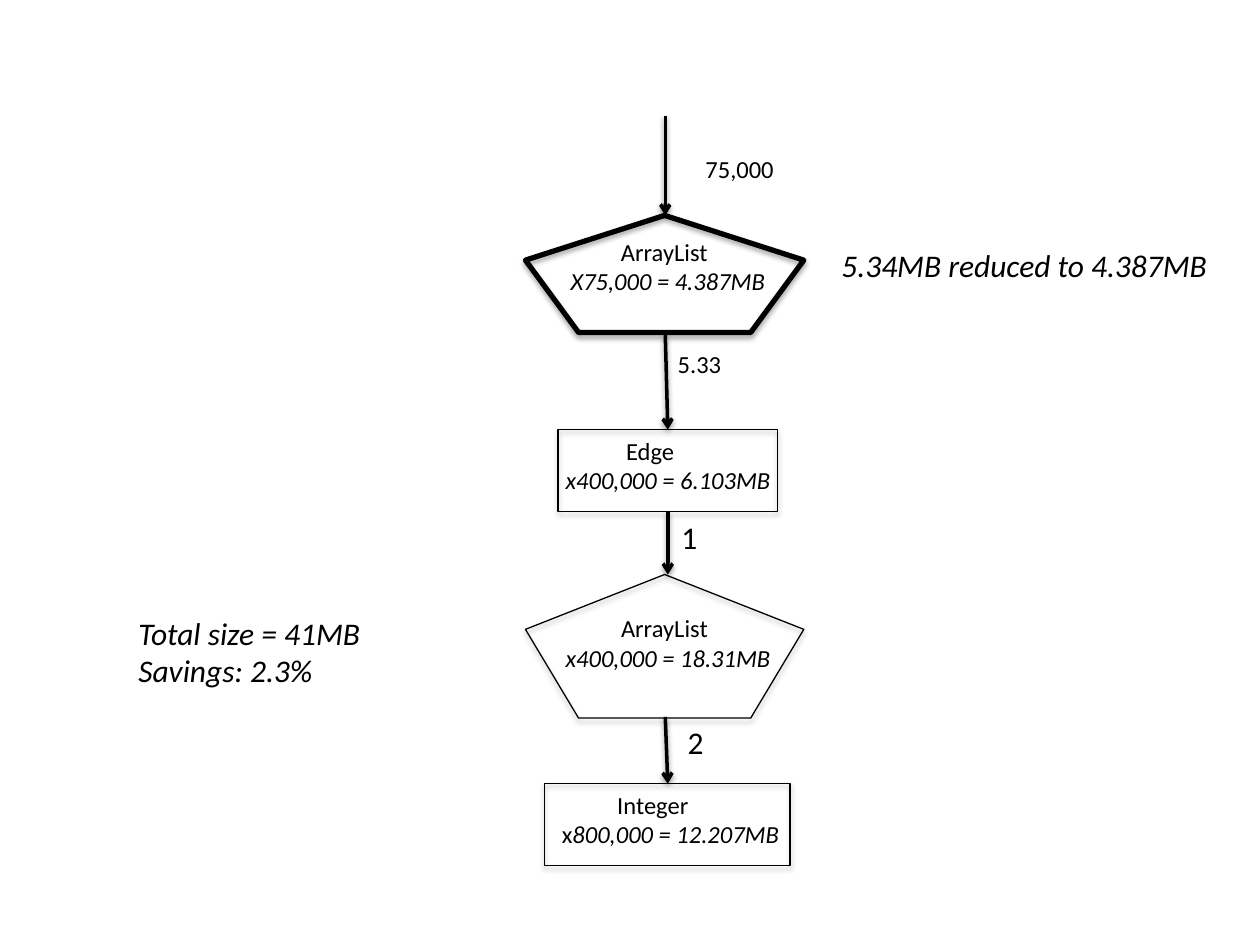
from dataclasses import dataclass

import lxml.etree
import pptx
import pptx.dml.color
import pptx.enum.shapes
import pptx.enum.text
import pptx.oxml.ns
import pptx.util

Inches = pptx.util.Inches
Pt = pptx.util.Pt
SHAPE = pptx.enum.shapes.MSO_SHAPE
qn = pptx.oxml.ns.qn
BLACK = "000000"
FONT = "Calibri"


@dataclass
class Node:
    kind: int
    left: float
    top: float
    width: float
    height: float
    line: float = 0.75


@dataclass
class Arrow:
    x1: float
    y1: float
    x2: float
    y2: float


@dataclass
class Line:
    """One paragraph made of (text, italic) runs."""
    runs: list[tuple[str, bool]]
    indent: float = 0


@dataclass
class Label:
    left: float
    top: float
    width: float
    height: float
    lines: list[Line]
    size: int = 14
    wrap: bool = False


def rgb(color: str) -> pptx.dml.color.RGBColor:
    return pptx.dml.color.RGBColor.from_string(color)


def style_line(sp, width: float) -> None:
    sp.line.color.rgb = rgb(BLACK)
    sp.line.width = Pt(width)


def add_shadow(sp, distance: float, opacity: int) -> None:
    """Give the shape a soft shadow straight below it."""
    effects = lxml.etree.SubElement(sp._element.spPr, qn("a:effectLst"))
    shadow = lxml.etree.SubElement(
        effects, qn("a:outerShdw"), blurRad=str(Pt(3.1)),
        dist=str(Pt(distance)), dir="5400000", rotWithShape="0")
    color = lxml.etree.SubElement(shadow, qn("a:srgbClr"), val=BLACK)
    lxml.etree.SubElement(color, qn("a:alpha"), val=str(opacity * 1000))


def draw_node(slide, node: Node) -> None:
    sp = slide.shapes.add_shape(
        node.kind, Inches(node.left), Inches(node.top),
        Inches(node.width), Inches(node.height))
    sp.fill.background()
    style_line(sp, node.line)
    add_shadow(sp, 1.8, 35)


def draw_arrow(slide, arrow: Arrow) -> None:
    sp = slide.shapes.add_connector(
        pptx.enum.shapes.MSO_CONNECTOR.STRAIGHT,
        Inches(arrow.x1), Inches(arrow.y1), Inches(arrow.x2), Inches(arrow.y2))
    style_line(sp, 2)
    lxml.etree.SubElement(sp.line._get_or_add_ln(), qn("a:tailEnd"), type="arrow")
    add_shadow(sp, 1.6, 38)


def draw_label(slide, label: Label) -> None:
    sp = slide.shapes.add_textbox(
        Inches(label.left), Inches(label.top),
        Inches(label.width), Inches(label.height))
    tf = sp.text_frame
    tf.word_wrap = label.wrap
    tf.auto_size = pptx.enum.text.MSO_AUTO_SIZE.SHAPE_TO_FIT_TEXT
    for i, line in enumerate(label.lines):
        p = tf.add_paragraph() if i else tf.paragraphs[0]
        if line.indent:
            p._p.get_or_add_pPr().set("marL", str(Inches(line.indent)))
        for text, italic in line.runs:
            r = p.add_run()
            r.text = text
            r.font.name = FONT
            r.font.size = Pt(label.size)
            r.font.italic = italic
            r.font.color.rgb = rgb(BLACK)


def plain(text: str, indent: float = 0) -> Line:
    return Line([(text, False)], indent)


def italic(text: str) -> Line:
    return Line([(text, True)])


NODES = [
    Node(SHAPE.REGULAR_PENTAGON, 4.17, 1.71, 2.21, 0.93, line=3),
    Node(SHAPE.RECTANGLE, 4.43, 3.41, 1.74, 0.65),
    Node(SHAPE.REGULAR_PENTAGON, 4.17, 4.56, 2.21, 1.14),
    Node(SHAPE.RECTANGLE, 4.32, 6.22, 1.95, 0.65),
]
ARROWS = [
    Arrow(5.28, 0.92, 5.28, 1.71),
    Arrow(5.28, 2.65, 5.3, 3.41),
    Arrow(5.3, 4.06, 5.3, 4.56),
    Arrow(5.28, 5.69, 5.3, 6.22),
]
NODE_LABELS = [
    Label(4.43, 1.83, 1.81, 0.57,
          [plain("ArrayList", 0.4), italic("X75,000 = 4.387MB")]),
    Label(4.39, 3.41, 1.89, 0.57,
          [plain("Edge", 0.48), italic("x400,000 = 6.103MB")]),
    Label(4.39, 4.82, 1.89, 0.57,
          [plain("ArrayList", 0.44), italic("x400,000 = 18.31MB")]),
    Label(4.32, 6.22, 2.02, 0.57,
          [plain("Integer", 0.48),
           Line([("x", False), ("800,000 = 12.207MB", True)], 0.04)]),
]
ARROW_LABELS = [
    Label(5.5, 1.17, 0.75, 0.34, [plain("75,000")]),
    Label(5.28, 2.72, 0.55, 0.34, [plain("5.33")]),
    Label(5.31, 4.06, 0.33, 0.4, [plain("1")], size=18),
    Label(5.36, 5.69, 0.44, 0.4, [plain("2")], size=18, wrap=True),
]
NOTES = [
    Label(6.58, 1.9, 3.2, 0.4, [italic("5.34MB reduced to 4.387MB")], size=18),
    Label(1, 4.82, 2.04, 1.01,
          [italic("Total size = 41MB"), italic("Savings: 2.3%")], size=18),
]


def main() -> None:
    prs = pptx.Presentation()
    prs.slide_width, prs.slide_height = Inches(10), Inches(7.5)
    slide = prs.slides.add_slide(prs.slide_layouts[6])
    for node in NODES:
        draw_node(slide, node)
    for arrow in ARROWS:
        draw_arrow(slide, arrow)
    for label in NODE_LABELS + ARROW_LABELS + NOTES:
        draw_label(slide, label)
    prs.save("out.pptx")


if __name__ == "__main__":
    main()
